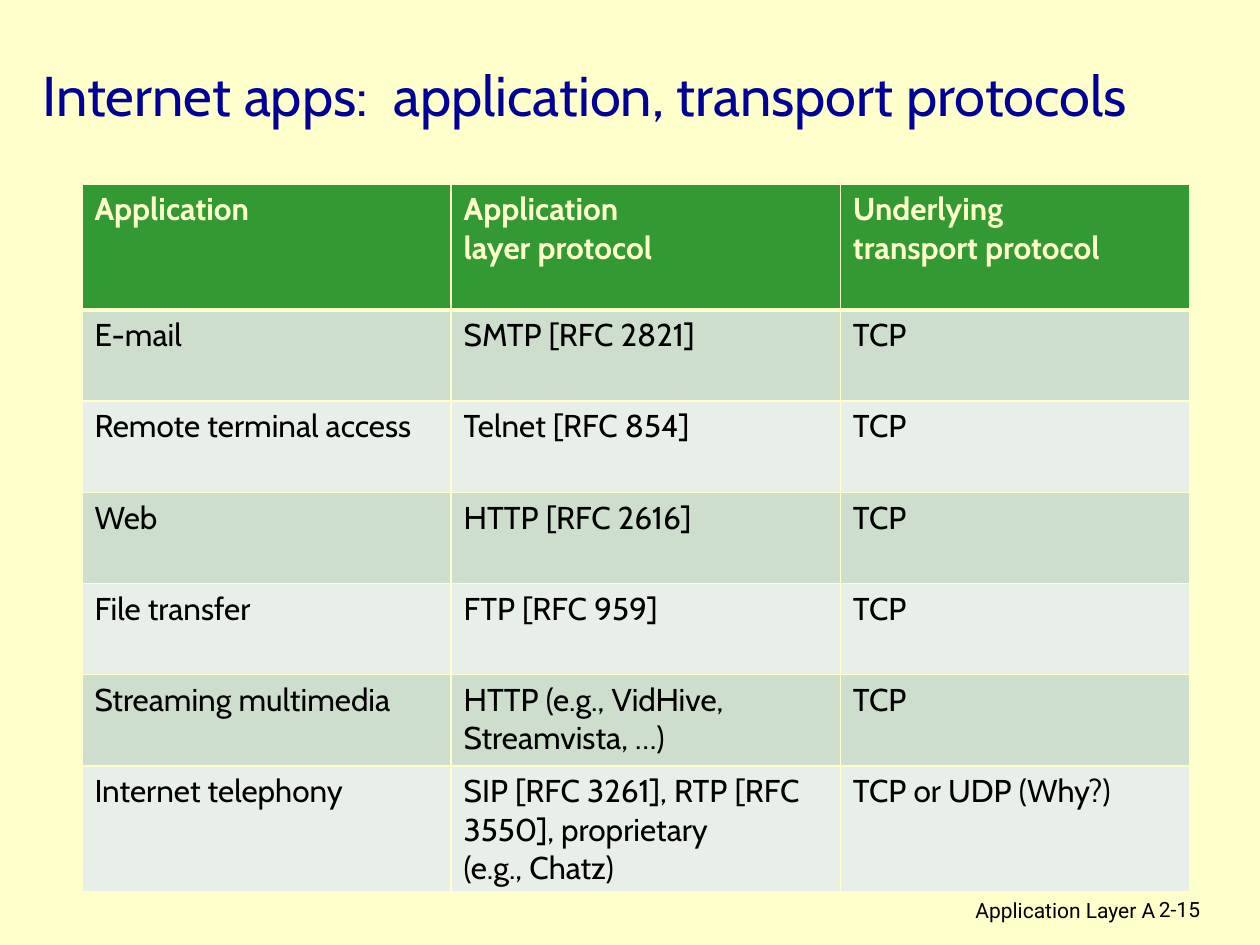
from dataclasses import dataclass

from lxml.etree import SubElement
from pptx import Presentation
from pptx.dml.color import RGBColor
from pptx.enum.text import MSO_ANCHOR, PP_ALIGN
from pptx.oxml.ns import qn
from pptx.util import Inches, Pt


@dataclass(frozen=True)
class Theme:
    background: str = "FFFFCC"
    title: str = "000099"
    text: str = "000000"
    header: str = "339933"
    bands: tuple = ("CDDECD", "E8EFE8")
    heading_font: str = "Cabin"
    footer_font: str = "Roboto"
    title_size: int = 32
    table_size: int = 18
    footer_size: int = 12
    thin_border: int = 1
    thick_border: int = 3


HEADINGS = ("Application", "Application\nlayer protocol", "Underlying\ntransport protocol")
APPLICATIONS = (
    ("E-mail", "SMTP [RFC 2821]", "TCP"),
    ("Remote terminal access", "Telnet [RFC 854]", "TCP"),
    ("Web", "HTTP [RFC 2616]", "TCP"),
    ("File transfer", "FTP [RFC 959]", "TCP"),
    ("Streaming multimedia", "HTTP (e.g., VidHive, Streamvista, …)", "TCP"),
    ("Internet telephony",
     "SIP [RFC 3261], RTP [RFC 3550], proprietary\n(e.g., Chatz)",
     "TCP or UDP (Why?)"),
)


def write_text(frame, text, *, font, size, color, bold=False, align=PP_ALIGN.LEFT):
    """Fill a text frame, one paragraph for each line of text."""
    for index, line in enumerate(text.split("\n")):
        para = frame.add_paragraph() if index else frame.paragraphs[0]
        para.alignment = align
        span = para.add_run()
        span.text = line
        span.font.name = font
        span.font.size = Pt(size)
        span.font.bold = bold
        span.font.color.rgb = RGBColor.from_string(color)


def set_borders(cell, color, **widths):
    """Draw the cell's edges; widths in points, in the order L, R, T, B."""
    properties = cell._tc.get_or_add_tcPr()
    for side, width in widths.items():
        line = SubElement(properties, qn(f"a:ln{side}"), w=str(Pt(width)))
        fill = SubElement(line, qn("a:solidFill"))
        SubElement(fill, qn("a:srgbClr"), val=color)


class SlideBuilder:
    """Places elements on a grid of 100 columns by 75 rows."""

    columns, rows = 100, 75

    def __init__(self, deck, theme):
        self.theme = theme
        self.column = deck.slide_width / self.columns
        self.row = deck.slide_height / self.rows
        self.slide = deck.slides.add_slide(deck.slide_layouts[6])
        background = self.slide.background.fill
        background.solid()
        background.fore_color.rgb = RGBColor.from_string(theme.background)

    def place(self, left, top, width, height):
        return (round(left * self.column), round(top * self.row),
                round(width * self.column), round(height * self.row))

    def text(self, area, text, anchor=MSO_ANCHOR.TOP, **text_format):
        frame = self.slide.shapes.add_textbox(*self.place(*area)).text_frame
        frame.word_wrap = True
        frame.vertical_anchor = anchor
        write_text(frame, text, **text_format)

    def title(self, area, text):
        theme = self.theme
        self.text(area, text, MSO_ANCHOR.MIDDLE, font=theme.heading_font,
                  size=theme.title_size, color=theme.title)

    def footer(self, area, text, align=PP_ALIGN.LEFT):
        theme = self.theme
        self.text(area, text, font=theme.footer_font, size=theme.footer_size,
                  color=theme.text, align=align)

    def table(self, left, top, widths, heights, records):
        area = self.place(left, top, sum(widths), sum(heights))
        table = self.slide.shapes.add_table(len(heights), len(widths), *area).table
        for column, width in zip(table.columns, widths):
            column.width = round(width * self.column)
        for row, height in zip(table.rows, heights):
            row.height = round(height * self.row)
        for row_index, record in enumerate(records):
            for column_index, text in enumerate(record):
                self.cell(table.cell(row_index, column_index), row_index, text)

    def cell(self, cell, row_index, text):
        theme = self.theme
        is_header = row_index == 0
        thin, thick = theme.thin_border, theme.thick_border
        set_borders(cell, theme.background, L=thin, R=thin,
                    T=thick if row_index == 1 else thin,
                    B=thick if is_header else thin)
        fill = theme.header if is_header else theme.bands[(row_index - 1) % 2]
        cell.fill.solid()
        cell.fill.fore_color.rgb = RGBColor.from_string(fill)
        write_text(cell.text_frame, text, font=theme.heading_font,
                   size=theme.table_size, bold=is_header,
                   color=theme.background if is_header else theme.text)


def main():
    deck = Presentation()
    deck.slide_width, deck.slide_height = Inches(10), Inches(7.5)
    page = SlideBuilder(deck, Theme())
    page.footer((61, 70.7, 31.7, 3.1), "Application Layer A", PP_ALIGN.RIGHT)
    page.footer((91, 70.7, 7.4, 3), "2-15")
    page.title((2.4, 2.9, 95.7, 9.2), "Internet apps:  application, transport protocols")
    page.table(6.5, 14.6, widths=(29.3, 30.9, 27.7),
               heights=(10, *[7.24] * 5, 10), records=(HEADINGS, *APPLICATIONS))
    deck.save("out.pptx")


if __name__ == "__main__":
    main()
